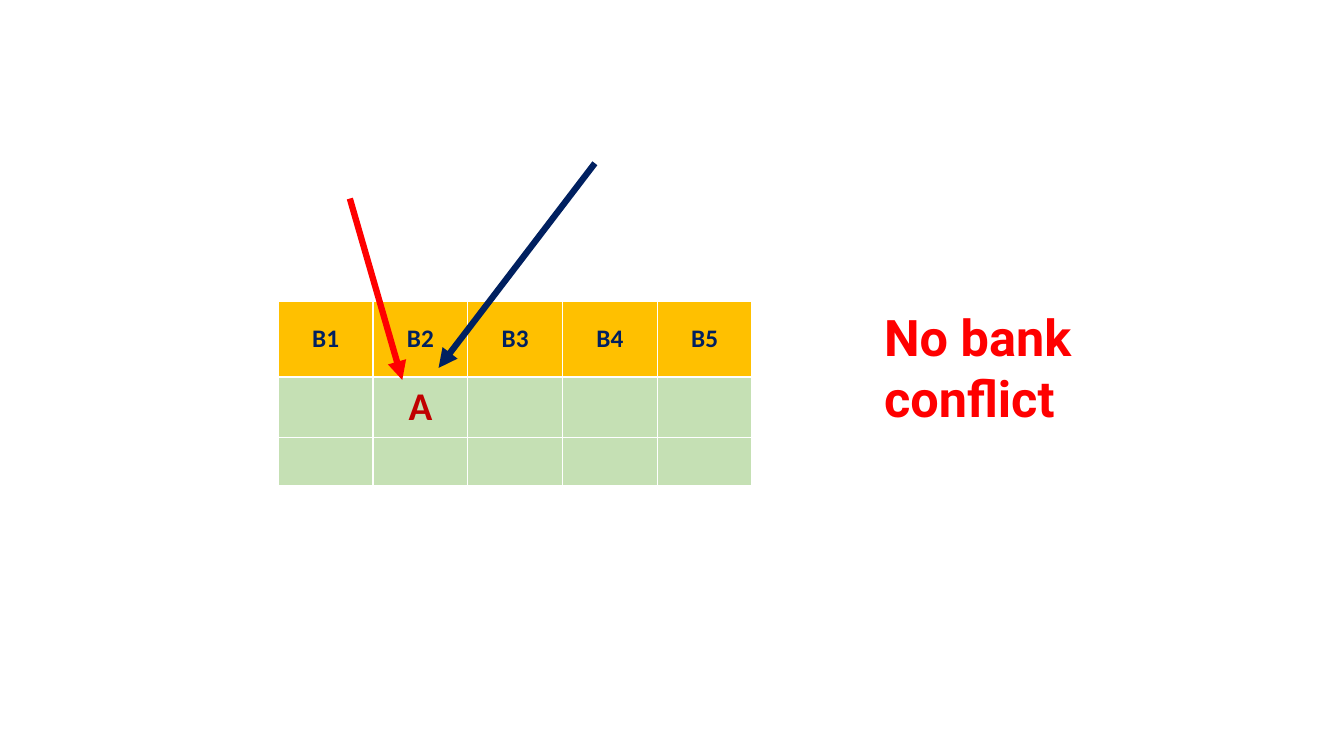
from lxml.etree import SubElement
from pptx import Presentation
from pptx.dml.color import RGBColor
from pptx.enum.shapes import MSO_CONNECTOR
from pptx.enum.text import MSO_ANCHOR, PP_ALIGN
from pptx.oxml.ns import qn
from pptx.util import Inches, Pt

NAVY = "002060"
RED = "FF0000"
DARK_RED = "C00000"
AMBER = "FFC000"
GREEN = "C5E0B4"

COLUMN_WIDTH = 0.94
ROW_HEIGHTS = [0.75, 0.6, 0.48]
BANK_ROWS = [
    ["B1", "B2", "B3", "B4", "B5"],
    ["", "A", "", "", ""],
    ["", "", "", "", ""],
]


def color(hex_value):
    return RGBColor.from_string(hex_value)


def format_text(paragraph, font_name, size, hex_value):
    for run in paragraph.runs:
        run.font.name = font_name
        run.font.size = Pt(size)
        run.font.bold = True
        run.font.color.rgb = color(hex_value)


def fill_cell(cell, text, is_header):
    cell.fill.solid()
    cell.fill.fore_color.rgb = color(AMBER if is_header else GREEN)
    cell.vertical_anchor = MSO_ANCHOR.MIDDLE
    cell.text_frame.text = text
    paragraph = cell.text_frame.paragraphs[0]
    paragraph.alignment = PP_ALIGN.CENTER
    size, hex_value = (18, NAVY) if is_header else (28, DARK_RED)
    format_text(paragraph, "Calibri", size, hex_value)


def add_bank_table(slide, left, top):
    """Add the memory banks; the default table style draws the white borders."""
    row_count, column_count = len(BANK_ROWS), len(BANK_ROWS[0])
    table = slide.shapes.add_table(
        row_count, column_count, Inches(left), Inches(top),
        Inches(COLUMN_WIDTH * column_count), Inches(sum(ROW_HEIGHTS)),
    ).table
    for column in table.columns:
        column.width = Inches(COLUMN_WIDTH)
    for row_index, texts in enumerate(BANK_ROWS):
        row = table.rows[row_index]
        row.height = Inches(ROW_HEIGHTS[row_index])
        for cell, text in zip(row.cells, texts):
            fill_cell(cell, text, is_header=row_index == 0)


def add_arrow(slide, start, end, hex_value):
    connector = slide.shapes.add_connector(
        MSO_CONNECTOR.STRAIGHT, *(Inches(value) for value in (*start, *end))
    )
    connector.line.color.rgb = color(hex_value)
    connector.line.width = Pt(4.5)
    properties = connector.element.spPr
    SubElement(properties.find(qn("a:ln")), qn("a:tailEnd"), type="triangle")
    SubElement(properties, qn("a:effectLst"))


def add_label(slide, text, left, top, width, height):
    text_box = slide.shapes.add_textbox(
        Inches(left), Inches(top), Inches(width), Inches(height)
    )
    text_frame = text_box.text_frame
    text_frame.word_wrap = True
    text_frame.text = text
    format_text(text_frame.paragraphs[0], "Roboto", 36, RED)


def main():
    presentation = Presentation()
    presentation.slide_width = Inches(13.33)
    presentation.slide_height = Inches(7.5)
    slide = presentation.slides.add_slide(presentation.slide_layouts[6])

    add_bank_table(slide, 2.76, 2.99)
    add_arrow(slide, (3.47, 1.97), (3.99, 3.77), RED)
    add_arrow(slide, (5.9, 1.62), (4.35, 3.65), NAVY)
    add_label(slide, "No bank conflict", 8.67, 2.99, 3.66, 0.71)

    presentation.save("out.pptx")


if __name__ == "__main__":
    main()
